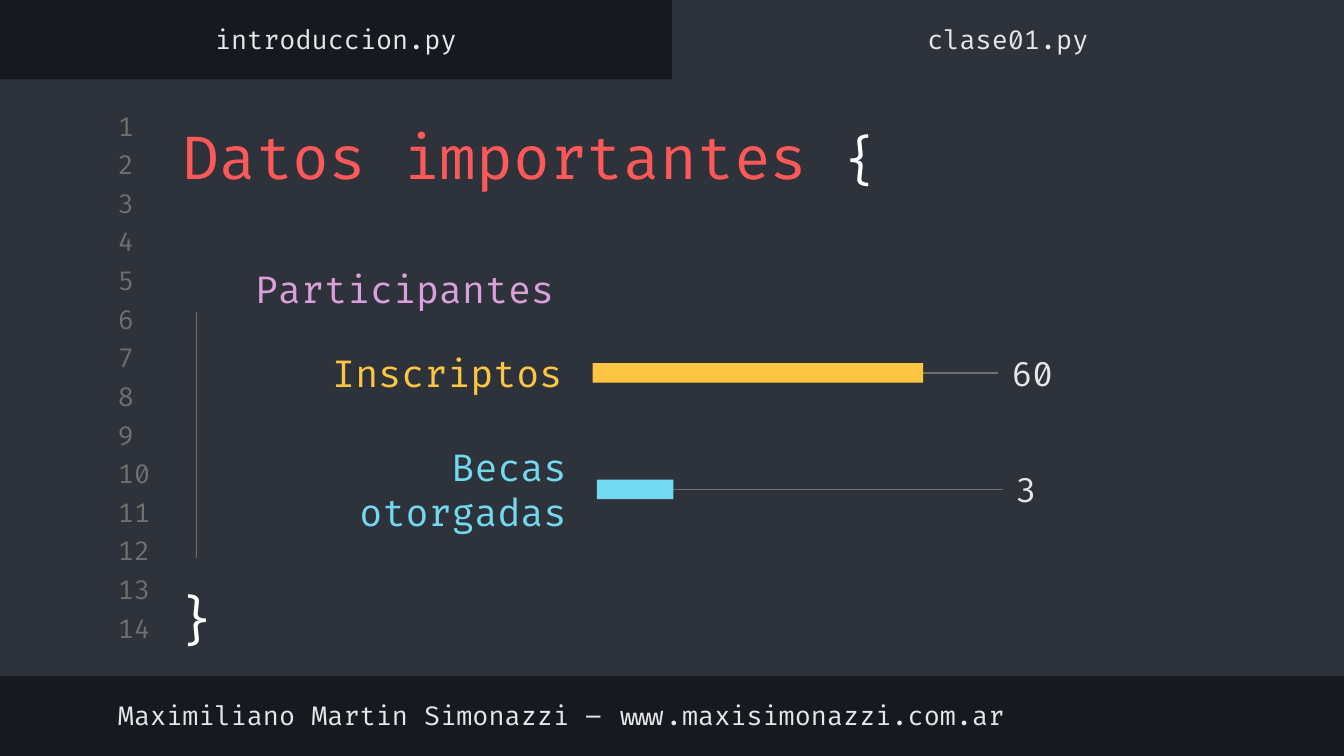
from lxml import etree
from pptx import Presentation
from pptx.dml.color import RGBColor
from pptx.enum.shapes import MSO_CONNECTOR, MSO_SHAPE
from pptx.enum.text import MSO_ANCHOR, PP_ALIGN
from pptx.oxml.ns import qn
from pptx.util import Cm, Pt

RECT = MSO_SHAPE.RECTANGLE
STRAIGHT = MSO_CONNECTOR.STRAIGHT
MIDDLE, TOP = MSO_ANCHOR.MIDDLE, MSO_ANCHOR.TOP
LEFT, CENTER, RIGHT = PP_ALIGN.LEFT, PP_ALIGN.CENTER, PP_ALIGN.RIGHT

COLORS = {
    "dark": "16191F",
    "panel": "2E323B",
    "grey": "707070",
    "light": "E7E7E7",
    "white": "FFFFFF",
    "red": "FF5858",
    "purple": "DBA0DB",
    "yellow": "FCC642",
    "blue": "72D9F0",
}


def rgb(name):
    return RGBColor.from_string(COLORS[name])


class CodeSlide:
    """Style and drawing methods for one code-editor slide."""

    font = "Fira Code"
    inset = Cm(0.25)

    def __init__(self, prs):
        self.s = prs.slides.add_slide(prs.slide_layouts[6])
        fill = self.s.background.fill
        fill.solid()
        fill.fore_color.rgb = rgb("dark")

    def rect(self, x, y, w, h, color):
        sp = self.s.shapes.add_shape(RECT, Cm(x), Cm(y), Cm(w), Cm(h))
        sp.shadow.inherit = False
        sp.fill.solid()
        sp.fill.fore_color.rgb = rgb(color)
        sp.line.fill.background()
        return sp

    def line(self, x1, y1, x2, y2):
        cn = self.s.shapes.add_connector(STRAIGHT, Cm(x1), Cm(y1), Cm(x2), Cm(y2))
        cn.line.color.rgb = rgb("grey")
        cn.line.width = Pt(0.75)
        etree.SubElement(cn._element.spPr, qn("a:effectLst"))
        return cn

    def text(self, x, y, w, h, runs, align=LEFT, anchor=MIDDLE):
        sp = self.s.shapes.add_textbox(Cm(x), Cm(y), Cm(w), Cm(h))
        tf = sp.text_frame
        tf.word_wrap = True
        tf.vertical_anchor = anchor
        tf.margin_left = tf.margin_right = self.inset
        tf.margin_top = tf.margin_bottom = self.inset
        p = tf.paragraphs[0]
        p.alignment = align
        for content, size, color in runs:
            r = p.add_run()
            r.text = content
            r.font.name = self.font
            r.font.size = Pt(size)
            r.font.color.rgb = rgb(color)
        return sp

    def bar_row(self, x, mid, label, label_w, bar_w, value, color):
        h, bar_h, track = 0.94, 0.37, 7.67
        top = mid - h / 2
        axis = self.line(x, mid, x + track, mid)
        self.text(x - 0.32 - label_w, top, label_w, h, [(label, 20, color)], RIGHT)
        bar = self.rect(x, mid - bar_h / 2, bar_w, bar_h, color)
        number = self.text(x + track, top, 2.03, h, [(value, 18, "light")])
        axis.begin_connect(bar, 1)
        axis.end_connect(number, 1)


def main():
    prs = Presentation()
    prs.slide_width, prs.slide_height = Cm(25.4), Cm(14.29)
    slide = CodeSlide(prs)

    slide.rect(0, 1.5, 25.4, 11.28, "panel")
    slide.rect(12.7, 0, 12.7, 1.65, "panel")
    for i in range(14):
        slide.text(1.98, 2.07 + 0.73 * i, 1.19, 0.61, [(str(i + 1), 14, "grey")])

    slide.text(3.2, 1.96, 13.97, 1.98,
               [("Datos importantes ", 32, "red"), ("{", 28, "white")])
    footer = "Maximiliano Martin Simonazzi – www.maxisimonazzi.com.ar"
    slide.text(1.98, 13.03, 22.02, 0.99, [(footer, 14, "light")])
    for i, tab in enumerate(("introduccion.py", "clase01.py")):
        slide.text(12.7 * i, 0.25, 12.7, 0.99, [(tab, 14, "light")], CENTER)

    slide.text(3.02, 10.85, 1.4, 1.7, [("}", 28, "white")], CENTER, TOP)
    slide.line(3.71, 5.89, 3.71, 10.54)

    slide.text(4.57, 4.98, 9.8, 0.94, [("Participantes", 20, "purple")])
    slide.bar_row(11.2, 7.05, "Inscriptos", 5.54, 6.25, "60", "yellow")
    slide.bar_row(11.28, 9.25, "Becas otorgadas", 6.25, 1.45, "3", "blue")

    prs.save("out.pptx")


if __name__ == "__main__":
    main()
